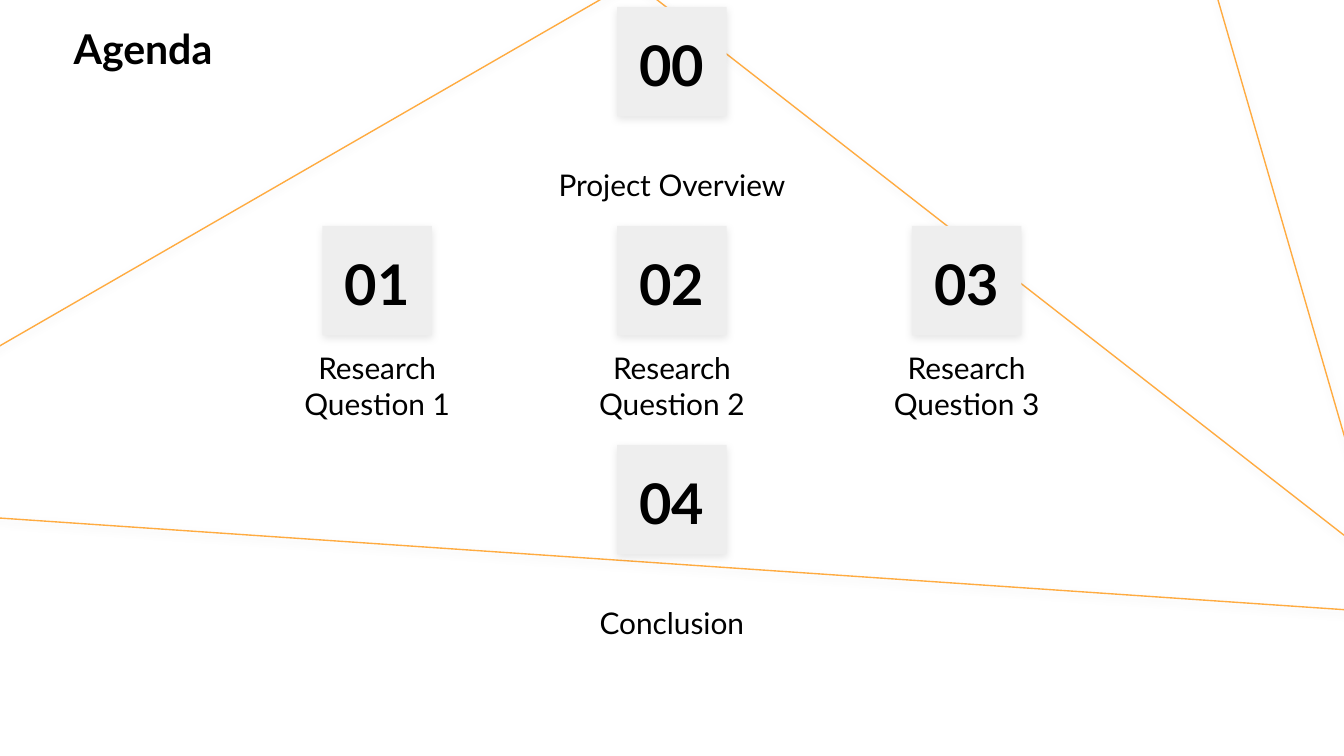
from lxml import etree
from pptx import Presentation
from pptx import util as u
from pptx.dml.color import RGBColor
from pptx.enum import shapes, text
from pptx.oxml import ns

BLACK = RGBColor(0x00, 0x00, 0x00)
GREY = RGBColor(0xEE, 0xEE, 0xEE)
ORANGE = RGBColor(0xFF, 0xAB, 0x40)

CENTRE = u.Cm(12.7)
COLUMN_STEP = u.Cm(5.57)
TOP = u.Cm(0.13)
ROW_STEP = u.Cm(4.14)
TILE = u.Cm(2.07)
TEXT_WIDTH = u.Cm(4.98)

NUMBER_FORMAT = {"name": "Lato", "size": u.Pt(30), "bold": True}
LABEL_FORMAT = {"name": "Lato", "size": u.Pt(16), "bold": False}
TITLE_FORMAT = {"name": "Lato", "size": u.Pt(22), "bold": True}


def write(shape, words, anchor, alignment, font_format):
    frame = shape.text_frame
    frame.text = words
    inset = u.Cm(0.25)
    frame_format = {
        "word_wrap": True, "auto_size": text.MSO_AUTO_SIZE.NONE,
        "vertical_anchor": anchor, "margin_left": inset, "margin_right": inset,
        "margin_top": inset, "margin_bottom": inset,
    }
    for name, value in frame_format.items():
        setattr(frame, name, value)
    paragraph = frame.paragraphs[0]
    paragraph.alignment = alignment
    font = paragraph.runs[0].font
    for name, value in font_format.items():
        setattr(font, name, value)
    font.color.rgb = BLACK


def add_soft_shadow(shape):
    shape.shadow.inherit = False
    effects = shape._element.spPr.find(ns.qn("a:effectLst"))
    shadow = etree.SubElement(
        effects, ns.qn("a:outerShdw"), blurRad=str(u.Pt(4.5)), dist=str(u.Pt(1.5)),
        dir="5400000", algn="bl", rotWithShape="0")
    color = etree.SubElement(shadow, ns.qn("a:srgbClr"), val=str(BLACK))
    etree.SubElement(color, ns.qn("a:alpha"), val="9000")


presentation = Presentation()
presentation.slide_width = u.Cm(25.4)
presentation.slide_height = u.Cm(14.29)
slide = presentation.slides.add_slide(presentation.slide_layouts[5])

line_points = [(u.Cm(x), u.Cm(y)) for x, y in [
    (26.21, 11.58), (-5.05, 9.45), (11.96, -0.36), (26.11, 10.67), (22.71, -1.07)]]
builder = slide.shapes.build_freeform(*line_points[0])
builder.add_line_segments(line_points[1:], close=False)
background_line = builder.convert_to_shape()
background_line.fill.background()
background_line.line.color.rgb = ORANGE
background_line.line.width = u.Pt(0.75)
add_soft_shadow(background_line)

agenda = [
    ("00", "Project Overview", 0, 0),
    ("01", "Research Question 1", -1, 1),
    ("02", "Research Question 2", 0, 1),
    ("03", "Research Question 3", 1, 1),
    ("04", "Conclusion", 0, 2),
]
for number, label, column, row in agenda:
    middle = CENTRE + column * COLUMN_STEP
    top = TOP + row * ROW_STEP
    tile = slide.shapes.add_shape(
        shapes.MSO_SHAPE.RECTANGLE, middle - TILE // 2, top, TILE, TILE)
    tile.fill.solid()
    tile.fill.fore_color.rgb = GREY
    tile.line.fill.background()
    add_soft_shadow(tile)

    left = middle - TEXT_WIDTH // 2
    for words, offset, height, anchor, font_format in [
        (number, u.Cm(0.3), u.Cm(1.57), text.MSO_ANCHOR.MIDDLE, NUMBER_FORMAT),
        (label, u.Cm(2.16), u.Cm(1.78), text.MSO_ANCHOR.BOTTOM, LABEL_FORMAT),
    ]:
        box = slide.shapes.add_textbox(left, top + offset, TEXT_WIDTH, height)
        write(box, words, anchor, text.PP_ALIGN.CENTER, font_format)

title = slide.shapes.title
title_place = {"left": u.Cm(1.14), "top": u.Cm(0.2),
               "width": u.Cm(4.83), "height": u.Cm(1.5)}
for name, value in title_place.items():
    setattr(title, name, value)
write(title, "Agenda", text.MSO_ANCHOR.TOP, text.PP_ALIGN.LEFT, TITLE_FORMAT)

presentation.save("out.pptx")
